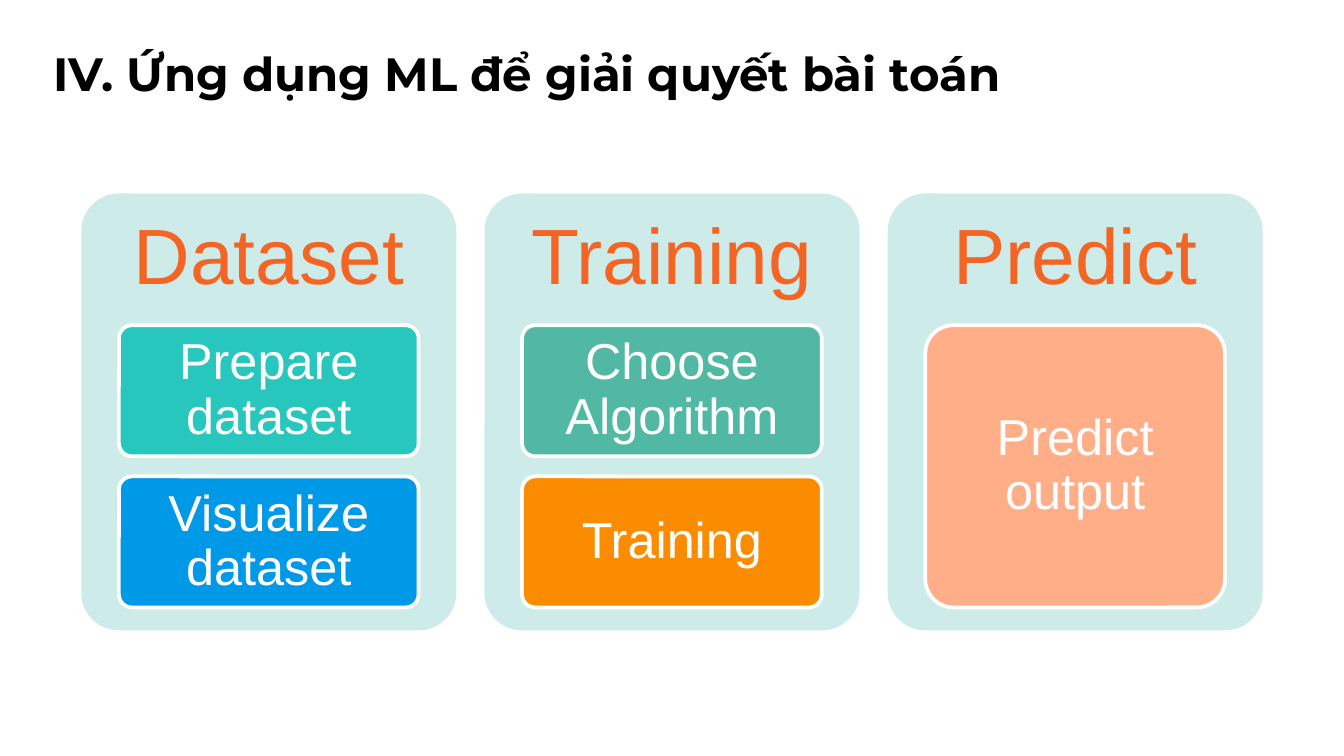
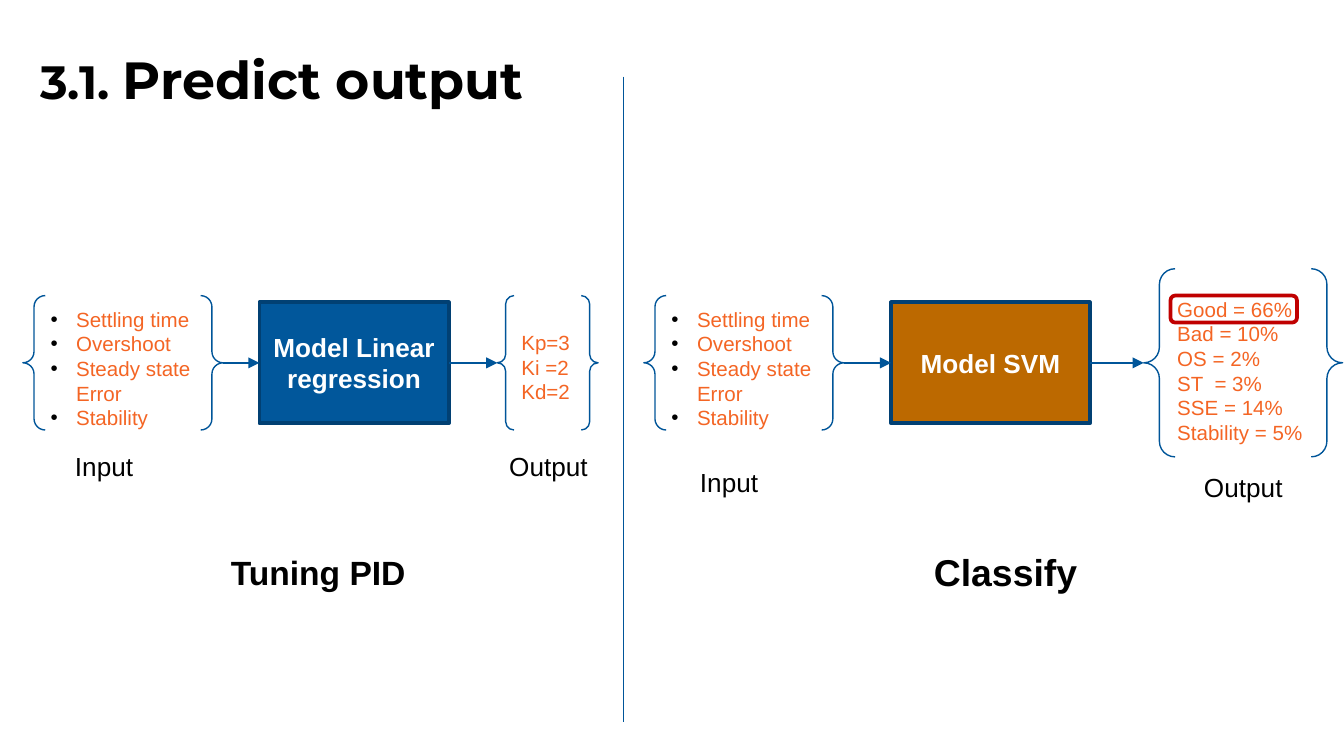
import pptx
import pptx.dml.color
import pptx.enum.shapes
import pptx.enum.text
import pptx.oxml
import pptx.util

Inches, Pt = pptx.util.Inches, pptx.util.Pt
SHAPE = pptx.enum.shapes.MSO_SHAPE
ANCHOR = pptx.enum.text.MSO_ANCHOR
ALIGN = pptx.enum.text.PP_ALIGN
AUTO = pptx.enum.text.MSO_AUTO_SIZE

SLIDE_W = 10
SLIDE_H = SLIDE_W * 9 / 16
BLACK, WHITE, ORANGE, BLUE, NAVY = "000000", "FFFFFF", "F46524", "005599", "014073"

TITLES = [
    ((-0.2, 0.23, 8.1, 0.85), [("IV. Ứng dụng ML để giải quyết bài toán", 25)]),
    ((-0.3, 0.25, 8.1, 0.9), [("3.1. ", 25), ("Predict output", 28)]),
]

STAGES = [
    ("Dataset", [("Prepare dataset", "27C7BD"), ("Visualize dataset", "0099E8")]),
    ("Training", [("Choose Algorithm", "51B9A3"), ("Training", "FB8C00")]),
    ("Predict", [("Predict output", "FFAE88")]),
]

FEATURES = ["Settling time", "Overshoot", "Steady state Error", "Stability"]

FLOWS = [
    {
        "features": (0.17, 2.2, 1.49, 1),
        "model": (1.93, 2.25, 1.41, 0.9, "Model Linear regression", "01579B"),
        "results": (3.7, 2.2, 0.75, 1, ["Kp=3", "Ki =2", "Kd=2"]),
        "labels": [
            (0.46, 3.3, 0.64, 0.34, "Input", 14, False),
            (3.69, 3.3, 0.79, 0.34, "Output", 14, False),
            (1.62, 4.06, 1.53, 0.4, "Tuning PID", 18, True),
        ],
    },
    {
        "features": (4.79, 2.2, 1.49, 1),
        "model": (6.63, 2.25, 1.48, 0.9, "Model SVM", "BC6900"),
        "results": (8.51, 2, 1.48, 1.4, ["Good = 66%", "Bad = 10%", "OS = 2%",
                                         "ST  = 3%", "SSE = 14%", "Stability = 5%"]),
        "labels": [
            (5.11, 3.42, 0.64, 0.34, "Input", 14, False),
            (8.86, 3.46, 0.79, 0.34, "Output", 14, False),
            (6.85, 4.04, 1.28, 0.44, "Classify", 20, True),
        ],
    },
]


def rgb(value):
    return pptx.dml.color.RGBColor.from_string(value)


def assign(obj, values):
    for name, value in values.items():
        setattr(obj, name, value)


def add_xml(parent, tag, **attrs):
    el = pptx.oxml.parse_xml(
        f'<a:{tag} xmlns:a="http://schemas.openxmlformats.org/drawingml/2006/main"/>')
    for name, value in attrs.items():
        el.set(name, value)
    parent.append(el)
    return el


def add_run(p, text, size, color, bold=False, font="Arial"):
    r = p.add_run()
    r.text = text
    assign(r.font, {"name": font, "size": Pt(size), "bold": bold})
    r.font.color.rgb = rgb(color)


def set_insets(tf, left, top, right, bottom):
    assign(tf, {"margin_left": Inches(left), "margin_top": Inches(top),
                "margin_right": Inches(right), "margin_bottom": Inches(bottom)})


def set_indent(p, left, first):
    pPr = p._p.get_or_add_pPr()
    pPr.set("marL", str(Inches(left)))
    pPr.set("indent", str(Inches(first)))
    return pPr


def add_box(s, kind, box, fill=None, line=None, width=2):
    sp = s.shapes.add_shape(kind, *map(Inches, box))
    sp.shadow.inherit = False
    if fill:
        sp.fill.solid()
        sp.fill.fore_color.rgb = rgb(fill)
    else:
        sp.fill.background()
    if line:
        sp.line.color.rgb = rgb(line)
        sp.line.width = Pt(width)
    else:
        sp.line.fill.background()
    assign(sp.text_frame, {"word_wrap": True, "vertical_anchor": ANCHOR.MIDDLE})
    return sp


def add_title(s, box, runs):
    tf = s.shapes.add_textbox(*map(Inches, box)).text_frame
    assign(tf, {"word_wrap": True, "auto_size": AUTO.SHAPE_TO_FIT_TEXT})
    set_insets(tf, 0.1, 0.1, 0.1, 0.1)
    p = tf.paragraphs[0]
    p.space_after = Pt(16)
    set_indent(p, 0.5, 0)
    for text, size in runs:
        add_run(p, text, size, BLACK, True, "Montserrat")


def add_label(s, left, top, width, height, text, size, bold):
    tf = s.shapes.add_textbox(*map(Inches, (left, top, width, height))).text_frame
    assign(tf, {"word_wrap": False, "auto_size": AUTO.SHAPE_TO_FIT_TEXT})
    add_run(tf.paragraphs[0], text, size, BLACK, bold)


def add_card(s, box, text, size, color, fill, insets, line=None):
    sp = add_box(s, SHAPE.ROUNDED_RECTANGLE, box, fill, line)
    sp.adjustments[0] = 0.1
    set_insets(sp.text_frame, *insets)
    p = sp.text_frame.paragraphs[0]
    assign(p, {"alignment": ALIGN.CENTER, "line_spacing": 0.9})
    add_run(p, text, size, color)


def add_braces(s, box, lines, bulleted=False):
    sp = add_box(s, SHAPE.DOUBLE_BRACE, box, line=BLUE, width=0.75)
    tf = sp.text_frame
    for i, text in enumerate(lines):
        p = tf.add_paragraph() if i else tf.paragraphs[0]
        p.alignment = ALIGN.LEFT
        if bulleted:
            pPr = set_indent(p, 0.19, -0.19)
            add_xml(add_xml(pPr, "buClr"), "srgbClr", val=BLACK)
            add_xml(pPr, "buFont", typeface="Arial")
            add_xml(pPr, "buChar", char="•")
        add_run(p, text, 11, ORANGE)
    return sp


def add_line(s, x1, y1, x2, y2):
    c = s.shapes.add_connector(pptx.enum.shapes.MSO_CONNECTOR.STRAIGHT,
                               *map(Inches, (x1, y1, x2, y2)))
    c.line.color.rgb = rgb(BLUE)
    c.line.width = Pt(0.75)
    add_xml(c._element.spPr, "effectLst")
    return c


def add_arrow(s, source, target):
    c = add_line(s, 0, 0, 1, 1)
    c.begin_connect(source, 3)
    c.end_connect(target, 1)
    add_xml(c.line._get_or_add_ln(), "tailEnd", type="triangle")


def build_stages(s):
    top, width, height, pitch = 1.44, 2.79, 3.25, 3
    left = (SLIDE_W - width - pitch * (len(STAGES) - 1)) / 2
    step_top, step_area, gap, side = 2.42, 2.1, 0.15, 0.28
    for i, (name, steps) in enumerate(STAGES):
        x = left + i * pitch
        add_card(s, (x, top, width, height), name, 42, ORANGE, "CDEBE8",
                 (0.09, 0.09, 0.09, 2.37))
        step_h = (step_area - gap * (len(steps) - 1)) / len(steps)
        for j, (text, fill) in enumerate(steps):
            box = (x + side, step_top + j * (step_h + gap), width - 2 * side, step_h)
            add_card(s, box, text, 27, WHITE, fill, (0.07, 0.05, 0.07, 0.05), WHITE)


def build_flows(s):
    add_line(s, 4.64, 0.57, 4.64, 5.37)
    for flow in FLOWS:
        *box, name, fill = flow["model"]
        model = add_box(s, SHAPE.RECTANGLE, box, fill, NAVY)
        p = model.text_frame.paragraphs[0]
        p.alignment = ALIGN.CENTER
        add_run(p, name, 14, WHITE, True)
        features = add_braces(s, flow["features"], FEATURES, True)
        *box, lines = flow["results"]
        results = add_braces(s, box, lines)
        add_arrow(s, features, model)
        add_arrow(s, model, results)
        for label in flow["labels"]:
            add_label(s, *label)
    add_box(s, SHAPE.ROUNDED_RECTANGLE, (8.71, 2.2, 0.94, 0.2), line="C00000")


def main():
    prs = pptx.Presentation()
    assign(prs, {"slide_width": Inches(SLIDE_W), "slide_height": Inches(SLIDE_H)})
    for (box, runs), build in zip(TITLES, (build_stages, build_flows)):
        s = prs.slides.add_slide(prs.slide_layouts[6])
        add_title(s, box, runs)
        build(s)
    prs.save("out.pptx")


if __name__ == "__main__":
    main()
